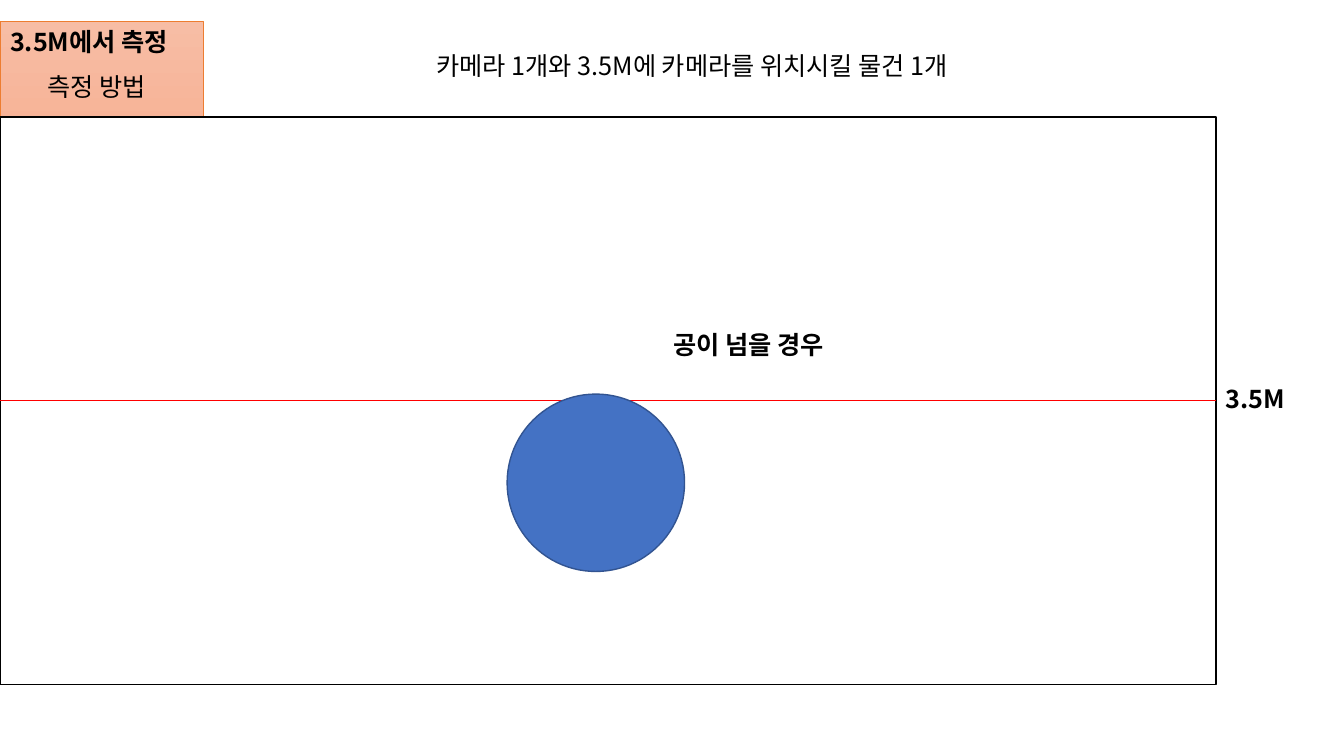
from dataclasses import dataclass

from lxml import etree
from pptx import Presentation
from pptx.dml.color import RGBColor
from pptx.enum.shapes import MSO_CONNECTOR, MSO_SHAPE
from pptx.enum.text import MSO_ANCHOR, MSO_AUTO_SIZE, PP_ALIGN
from pptx.oxml.ns import qn
from pptx.util import Inches, Pt

RECT, OVAL = MSO_SHAPE.RECTANGLE, MSO_SHAPE.OVAL
STRAIGHT = MSO_CONNECTOR.STRAIGHT
LEFT, CENTER = PP_ALIGN.LEFT, PP_ALIGN.CENTER
TOP = MSO_ANCHOR.TOP
FIT_SHAPE = MSO_AUTO_SIZE.SHAPE_TO_FIT_TEXT
LEFT_SIDE, RIGHT_SIDE = 1, 3
TITLE_ONLY = 5


@dataclass(frozen=True)
class Theme:
    font: str = "Noto Sans CJK KR"
    text_size: int = 18
    thin: float = 0.5
    medium: float = 1
    ink: str = "000000"
    paper: str = "FFFFFF"
    title_top: str = "F7BDA5"
    title_bottom: str = "F8A582"
    title_line: str = "ED7D31"
    limit: str = "FF0000"
    ball: str = "4472C4"
    ball_line: str = "325491"


THEME = Theme()


def rgb(value):
    return RGBColor.from_string(value)


def set_line(s, color, width):
    s.line.color.rgb = rgb(color)
    s.line.width = Pt(width)


def write(s, text, bold=False, align=LEFT, wrap=False):
    tf = s.text_frame
    tf.word_wrap = wrap
    tf.auto_size = FIT_SHAPE
    tf.vertical_anchor = TOP
    p = tf.paragraphs[0]
    p.alignment = align
    r = p.add_run()
    r.text = text
    r.font.name = THEME.font
    r.font.size = Pt(THEME.text_size)
    r.font.bold = bold
    r.font.color.rgb = rgb(THEME.ink)
    etree.SubElement(r.font._element, qn("a:ea"), typeface=THEME.font)


def add_title(slide, text, x, y, w, h):
    s = slide.shapes.title
    s.left, s.top, s.width, s.height = map(Inches, (x, y, w, h))
    s.fill.gradient()
    s.fill.gradient_angle = 270
    colors = (THEME.title_top, THEME.title_bottom)
    for position, (stop, color) in enumerate(zip(s.fill.gradient_stops, colors)):
        stop.position = position
        stop.color.rgb = rgb(color)
    set_line(s, THEME.title_line, THEME.thin)
    write(s, text, bold=True, wrap=True)


def add_label(slide, text, x, y, w, h=0.4, **style):
    s = slide.shapes.add_textbox(*map(Inches, (x, y, w, h)))
    write(s, text, **style)


def add_figure(slide, kind, x, y, w, h, fill, line):
    s = slide.shapes.add_shape(kind, *map(Inches, (x, y, w, h)))
    s.shadow.inherit = False
    s.fill.solid()
    s.fill.fore_color.rgb = rgb(fill)
    set_line(s, line, THEME.medium)
    return s


def add_limit_line(slide, field):
    middle = field.top + field.height // 2
    s = slide.shapes.add_connector(
        STRAIGHT, field.left, middle, field.left + field.width, middle
    )
    s.begin_connect(field, LEFT_SIDE)
    s.end_connect(field, RIGHT_SIDE)
    set_line(s, THEME.limit, THEME.thin)
    etree.SubElement(s._element.spPr, qn("a:effectLst"))


def main():
    prs = Presentation()
    prs.slide_width, prs.slide_height = Inches(13.33), Inches(7.5)
    slide = prs.slides.add_slide(prs.slide_layouts[TITLE_ONLY])

    add_title(slide, "3.5M에서 측정", 0, 0.21, 2.02, 0.4)
    add_label(slide, "측정 방법", 0.37, 0.66, 1.3)
    field = add_figure(slide, RECT, 0, 1.16, 12.06, 5.63, THEME.paper, THEME.ink)
    add_label(slide, "3.5M", 12.06, 3.75, 0.8, bold=True)
    add_limit_line(slide, field)
    add_figure(slide, OVAL, 5.03, 3.91, 1.76, 1.76, THEME.ball, THEME.ball_line)
    add_label(slide, "공이 넘을 경우", 6.24, 3.22, 2.37,
              bold=True, align=CENTER, wrap=True)
    add_label(slide, "카메라 1개와 3.5M에 카메라를 위치시킬 물건 1개", 4.23, 0.45, 5.87)

    prs.save("out.pptx")


if __name__ == "__main__":
    main()
